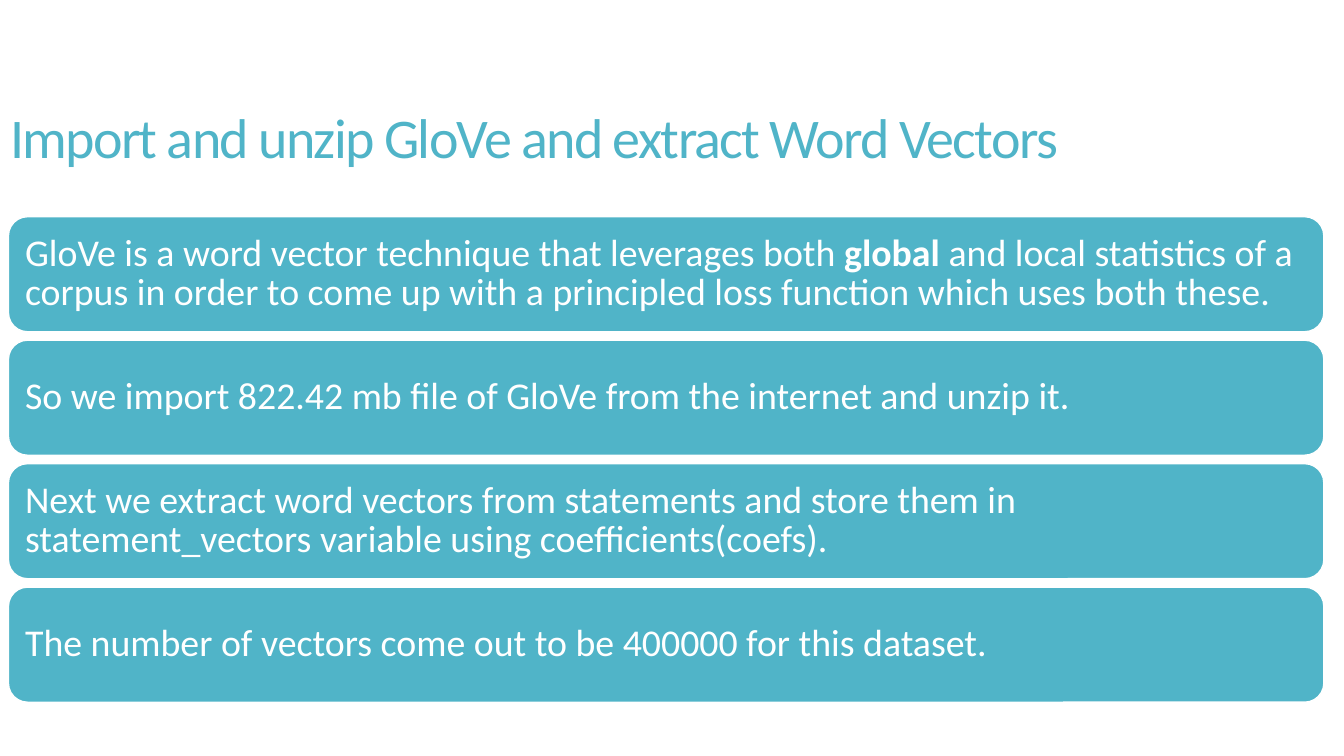
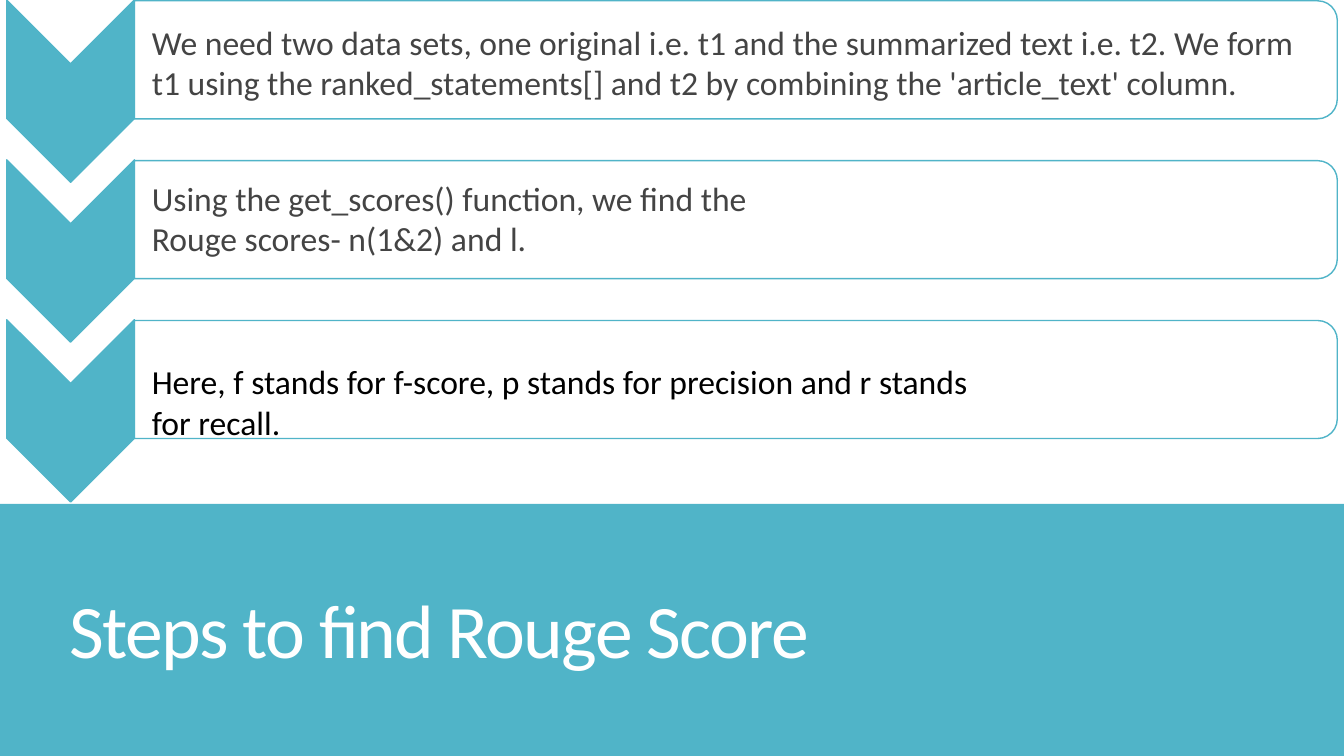
from lxml.etree import SubElement
from pptx import Presentation
from pptx.dml.color import RGBColor
from pptx.enum.shapes import MSO_SHAPE
from pptx.enum.text import MSO_ANCHOR, MSO_AUTO_SIZE, PP_ALIGN
from pptx.oxml.ns import qn
from pptx.util import Inches, Pt

TEAL = RGBColor(0x50, 0xB4, 0xC8)
WHITE = RGBColor(0xFF, 0xFF, 0xFF)
GRAY = RGBColor(0x44, 0x44, 0x44)
BLACK = RGBColor(0x00, 0x00, 0x00)

SLIDE_WIDTH, SLIDE_HEIGHT = Inches(13.33), Inches(7.5)
COLUMN, ROW = SLIDE_WIDTH / 160, SLIDE_HEIGHT / 90
TITLE_SIZE = (141.4, 21.7)
BAR_PITCH, STEP_PITCH = 14.7, 19.03

TITLE_FRAME = {"word_wrap": True, "auto_size": MSO_AUTO_SIZE.NONE,
               "vertical_anchor": MSO_ANCHOR.MIDDLE}
BAR_FRAME = TITLE_FRAME | {f"margin_{side}": Inches(0.11)
                           for side in ("left", "top", "right", "bottom")}
NOTE_FRAME = {"word_wrap": True, "auto_size": MSO_AUTO_SIZE.SHAPE_TO_FIT_TEXT}
TIGHT_LEFT = {"alignment": PP_ALIGN.LEFT, "line_spacing": 0.85}
PLAIN_LEFT = {"alignment": PP_ALIGN.LEFT}

GLOVE_POINTS = [
    [("GloVe is a word vector technique that leverages both ", False),
     ("global", True),
     (" and local statistics of a corpus in order to come up with"
      " a principled loss function which uses both these.", False)],
    [("So we import 822.42 mb file of GloVe from the internet and unzip it.", False)],
    [("Next we extract word vectors from statements and store them in "
      "statement_vectors variable using coefficients(coefs).", False)],
    [("The number of vectors come out to be 400000 for this dataset.", False)],
]
ROUGE_STEPS = [
    ("We need two data sets, one original i.e. t1 and the summarized text i.e. t2."
     " We form t1 using the ranked_statements[] and t2 by combining the "
     "'article_text' column.", 2, 141.1, GRAY),
    ("Using the get_scores() function, we find the Rouge scores- n(1&2) and l.",
     20.6, 79.9, GRAY),
    ("Here, f stands for f-score, p stands for precision and r stands for recall.",
     42.4, 104, BLACK),
]


def box(left, top, width, height):
    """Turn grid columns and rows into slide lengths."""
    return [round(count * unit) for count, unit in
            zip((left, top, width, height), (COLUMN, ROW, COLUMN, ROW))]


def apply_format(target, values):
    """Set each attribute named in a dict of format values."""
    for name, value in values.items():
        setattr(target, name, value)


def write(frame, runs, size, color, frame_format, paragraph_format):
    """Fill a text frame with one paragraph of (text, bold) runs."""
    apply_format(frame, frame_format)
    paragraph = frame.paragraphs[0]
    apply_format(paragraph, paragraph_format)
    for text, bold in runs:
        run = paragraph.add_run()
        run.text = text
        apply_format(run.font, {"name": "Calibri", "size": Pt(size), "bold": bold})
        run.font.color.rgb = color
    return paragraph


def add_title(slide, text, left, top, size, color):
    """Place and format the title placeholder."""
    title = slide.shapes.title
    apply_format(title, dict(zip(("left", "top", "width", "height"),
                                 box(left, top, *TITLE_SIZE))))
    paragraph = write(title.text_frame, [(text, False)], size, color,
                      TITLE_FRAME, TIGHT_LEFT)
    paragraph.runs[0].font._element.set("spc", "-120")


def add_block(slide, kind, area, fill, line=None):
    """Add a filled preset shape with an optional outline."""
    block = slide.shapes.add_shape(kind, *area)
    block.shadow.inherit = False
    block.fill.solid()
    block.fill.fore_color.rgb = fill
    if line is None:
        block.line.fill.background()
    else:
        block.line.color.rgb = line
        block.line.width = Pt(1)
    return block


def add_turned_block(slide, kind, area, fill):
    """Add a shape turned a quarter so that it covers the given area."""
    left, top, width, height = area
    shift = (width - height) // 2
    block = add_block(slide, kind, (left + shift, top - shift, height, width), fill, TEAL)
    block.rotation = 90
    return block


def add_bar(slide, index, runs):
    """Add one rounded bar of the stacked list."""
    area = box(1, 25.8 + index * BAR_PITCH, 156.6, 13.7)
    bar = add_block(slide, MSO_SHAPE.ROUNDED_RECTANGLE, area, TEAL, WHITE)
    write(bar.text_frame, runs, 27, WHITE, BAR_FRAME, TIGHT_LEFT)


def add_step(slide, index):
    """Add a downward chevron and the panel to its right."""
    top = index * STEP_PITCH
    add_turned_block(slide, MSO_SHAPE.CHEVRON, box(0.8, top, 15.2, 21.7), TEAL)
    panel = add_turned_block(slide, MSO_SHAPE.ROUND_2_SAME_RECTANGLE,
                             box(16, top + 0.1, 143.2, 14.05), WHITE)
    tint = panel._element.spPr.find(qn("a:solidFill"))[0]
    SubElement(tint, qn("a:alpha")).set("val", "90000")


def add_note(slide, text, top, width, color):
    """Add the wording of one step."""
    note = slide.shapes.add_textbox(*box(16.9, top, width, 10.9))
    write(note.text_frame, [(text, False)], 24, color, NOTE_FRAME, PLAIN_LEFT)


def build_glove_slide(slide):
    """Build the slide on importing word vectors."""
    add_title(slide, "Import and unzip GloVe and extract Word Vectors", 0, 6, 40, TEAL)
    for index, runs in enumerate(GLOVE_POINTS):
        add_bar(slide, index, runs)


def build_rouge_slide(slide):
    """Build the slide on the scoring steps."""
    band = add_block(slide, MSO_SHAPE.RECTANGLE, box(0, 60, 160, 30), TEAL)
    slide.shapes.title._element.addprevious(band._element)
    add_title(slide, "Steps to find Rouge Score", 7.1, 64.8, 54, WHITE)
    for index in range(len(ROUGE_STEPS)):
        add_step(slide, index)
    for step in ROUGE_STEPS:
        add_note(slide, *step)


def main():
    """Build and save the presentation."""
    deck = Presentation()
    apply_format(deck, {"slide_width": SLIDE_WIDTH, "slide_height": SLIDE_HEIGHT})
    for build in (build_glove_slide, build_rouge_slide):
        build(deck.slides.add_slide(deck.slide_layouts[5]))
    deck.save("out.pptx")


if __name__ == "__main__":
    main()
